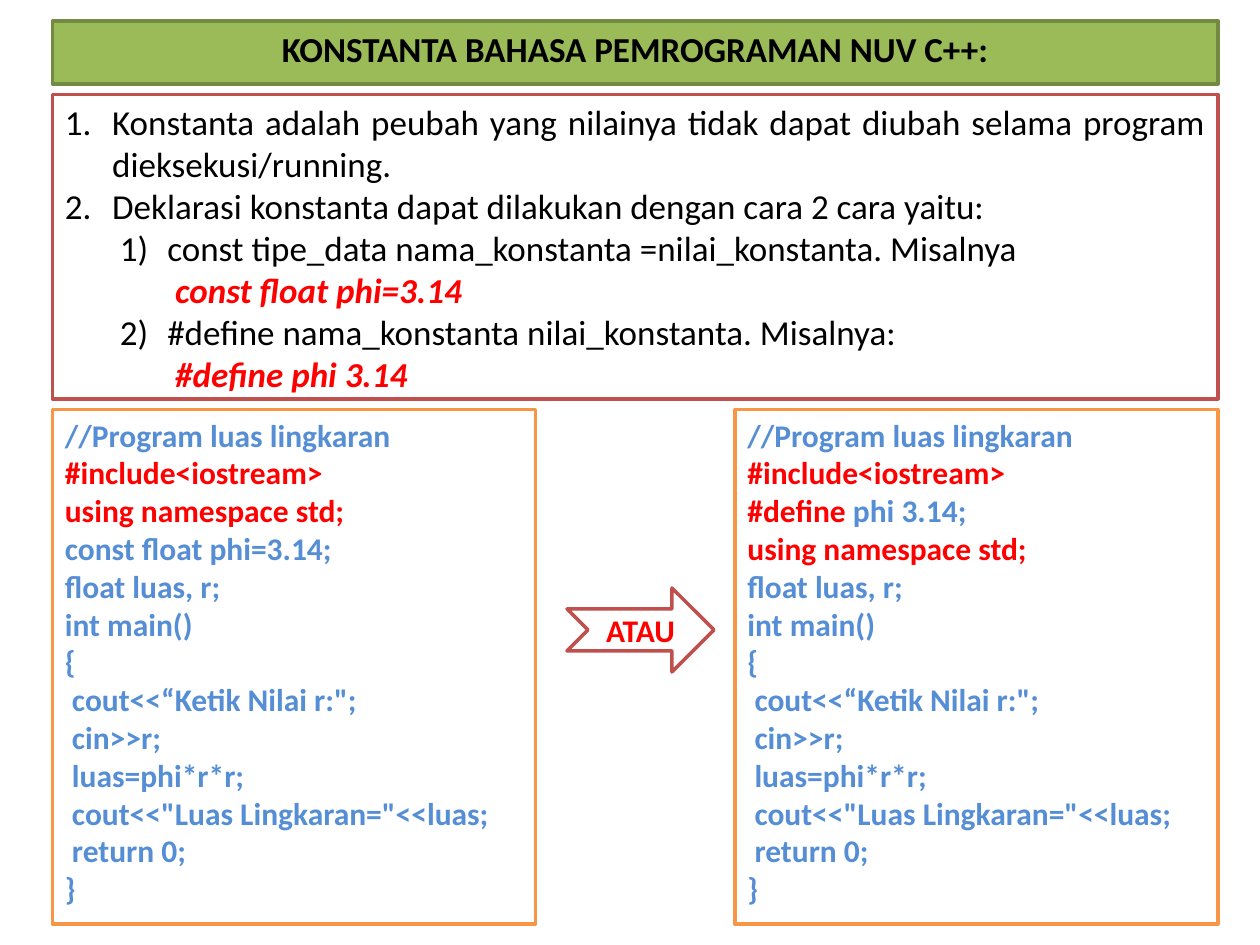
from lxml.etree import SubElement
from pptx import Presentation
from pptx.dml.color import RGBColor
from pptx.enum.shapes import MSO_SHAPE
from pptx.enum.text import MSO_ANCHOR, MSO_AUTO_SIZE, PP_ALIGN
from pptx.oxml.ns import qn
from pptx.util import Pt

COLORS = {
    "white": "FFFFFF", "black": "000000", "red": "FF0000", "blue": "558ED5",
    "green": "9BBB59", "dark_green": "738A42", "maroon": "C0504D", "orange": "F79646",
}
FONT = "Calibri"

DEFINITIONS = [
    (0, "Konstanta adalah peubah yang nilainya tidak dapat diubah selama program dieksekusi/running."),
    (0, "Deklarasi konstanta dapat dilakukan dengan cara 2 cara yaitu:"),
    (1, "const tipe_data nama_konstanta =nilai_konstanta. Misalnya"),
    (2, "const float phi=3.14"),
    (1, "#define nama_konstanta nilai_konstanta. Misalnya:"),
    (2, "#define phi 3.14"),
]
LEVELS = [(27, -27, "arabicPeriod"), (58.5, -27, "arabicParenR"), (63, 0, None)]

COMMENT = [("//Program luas lingkaran", "blue")]
INCLUDE = [("#include<iostream>", "red")]
NAMESPACE = [("using namespace std;", "red")]
CONST = [("const float phi=3.14;", "blue")]
DEFINE = [("#define ", "red"), ("phi 3.14;", "blue")]
MAIN = [[(line, "blue")] for line in (
    "float luas, r;", "int main()", "{", " cout<<“Ketik Nilai r:\";", " cin>>r;",
    " luas=phi*r*r;", " cout<<\"Luas Lingkaran=\"<<luas;", " return 0;", "}",
)]
CONST_PROGRAM = [COMMENT, INCLUDE, NAMESPACE, CONST, *MAIN]
DEFINE_PROGRAM = [COMMENT, INCLUDE, DEFINE, NAMESPACE, *MAIN]


def rgb(name):
    """Return the named colour."""
    return RGBColor.from_string(COLORS[name])


def style_panel(panel, fill, border, anchor=MSO_ANCHOR.TOP):
    """Fill and outline a panel and return its text frame."""
    panel.fill.solid()
    panel.fill.fore_color.rgb = rgb(fill)
    panel.line.color.rgb = rgb(border)
    panel.line.width = Pt(2)
    frame = panel.text_frame
    frame.word_wrap = True
    frame.auto_size = MSO_AUTO_SIZE.NONE
    frame.vertical_anchor = anchor
    return frame


def add_panel(slide, box, border, preset=MSO_SHAPE.RECTANGLE, anchor=MSO_ANCHOR.TOP):
    """Add a white outlined shape and return its text frame."""
    panel = slide.shapes.add_shape(preset, *map(Pt, box))
    panel.shadow.inherit = False
    return style_panel(panel, "white", border, anchor)


def add_paragraph(frame, index, align):
    """Return the paragraph at the index, adding it after the first."""
    paragraph = frame.add_paragraph() if index else frame.paragraphs[0]
    paragraph.alignment = align
    return paragraph


def add_run(paragraph, text, size, color, bold=True, italic=False):
    """Append one formatted run."""
    run = paragraph.add_run()
    run.text = text
    font = run.font
    font.name, font.size, font.bold, font.italic = FONT, Pt(size), bold, italic
    font.color.rgb = rgb(color)


def place_title(slide, box):
    """Place the green heading bar."""
    heading = slide.shapes.title
    heading.left, heading.top, heading.width, heading.height = map(Pt, box)
    frame = style_panel(heading, "green", "dark_green")
    paragraph = add_paragraph(frame, 0, PP_ALIGN.CENTER)
    paragraph.space_before = Pt(0)
    add_run(paragraph, "KONSTANTA BAHASA PEMROGRAMAN NUV C++:", 20, "black")


def place_definitions(slide, box):
    """Place the numbered definitions with their examples."""
    frame = add_panel(slide, box, "maroon")
    for index, (level, text) in enumerate(DEFINITIONS):
        paragraph = add_paragraph(frame, index, PP_ALIGN.JUSTIFY)
        paragraph.level = level
        margin, indent, numbering = LEVELS[level]
        properties = paragraph._p.get_or_add_pPr()
        properties.set("marL", str(Pt(margin)))
        properties.set("indent", str(Pt(indent)))
        if numbering:
            SubElement(properties, qn("a:buFont"), typeface="+mj-lt")
            SubElement(properties, qn("a:buAutoNum"), type=numbering)
        example = level == 2
        add_run(paragraph, text, 20, "red" if example else "black", example, example)


def place_program(slide, box, program):
    """Place one program listing."""
    frame = add_panel(slide, box, "orange")
    for index, line in enumerate(program):
        paragraph = add_paragraph(frame, index, PP_ALIGN.JUSTIFY)
        for text, color in line:
            add_run(paragraph, text, 18, color)


def place_alternative_arrow(slide, box):
    """Place the arrow between the two programs."""
    frame = add_panel(slide, box, "maroon", MSO_SHAPE.NOTCHED_RIGHT_ARROW, MSO_ANCHOR.MIDDLE)
    add_run(add_paragraph(frame, 0, PP_ALIGN.CENTER), "ATAU", 18, "red")


def main():
    """Build and save the slide."""
    presentation = Presentation()
    presentation.slide_width, presentation.slide_height = Pt(720), Pt(540)
    slide = presentation.slides.add_slide(presentation.slide_layouts[5])
    left, width, program_width = 30, 666, 276
    place_title(slide, (left, 12, width, 36))
    place_definitions(slide, (left, 54, width, 174))
    programs = (CONST_PROGRAM, DEFINE_PROGRAM)
    for column, program in enumerate(programs):
        program_left = left + column * (width - program_width)
        place_program(slide, (program_left, 234, program_width, 294), program)
    place_alternative_arrow(slide, (324, 336, 84, 48))
    presentation.save("out.pptx")


if __name__ == "__main__":
    main()
